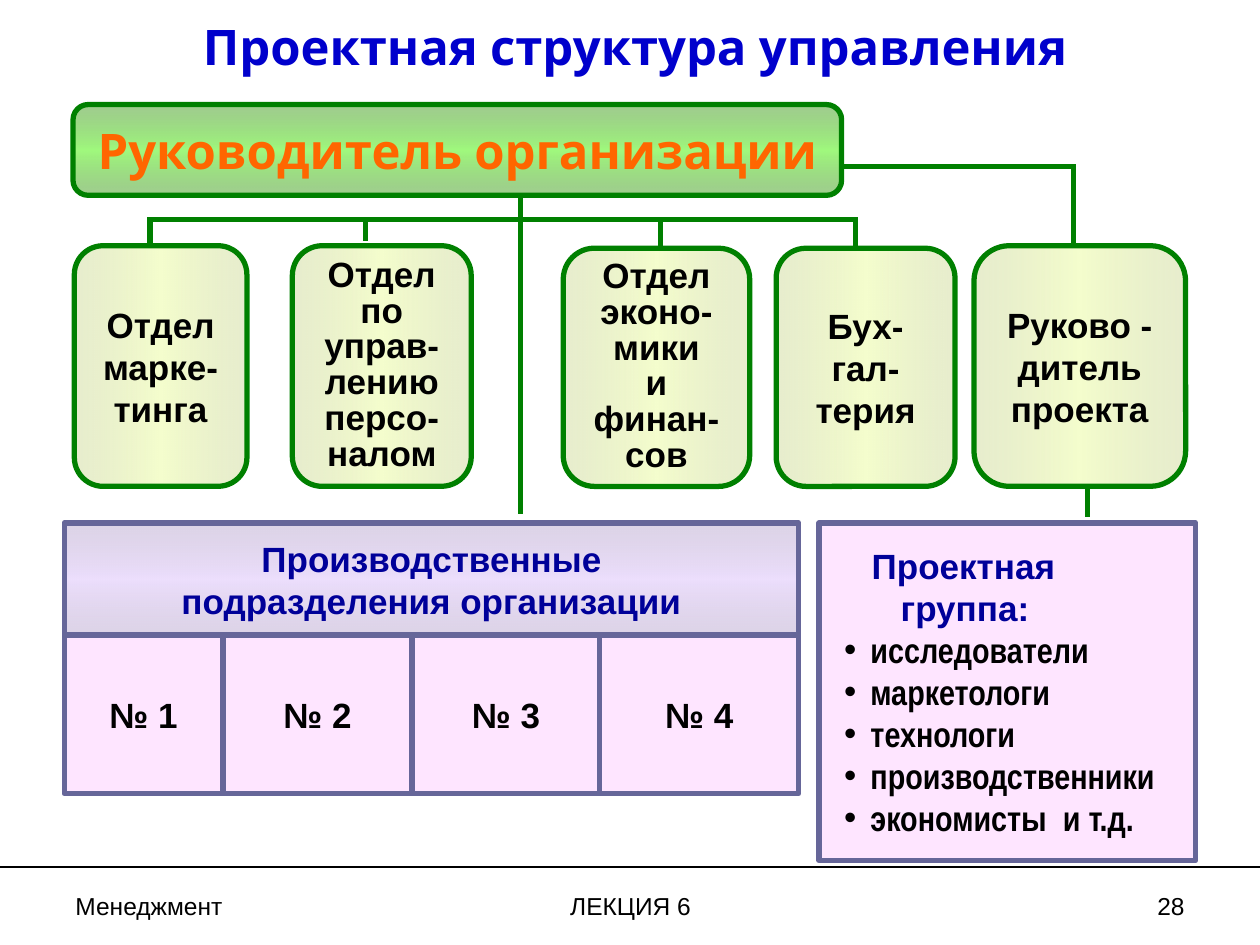
"""Build a slide showing a project-based management structure."""
from dataclasses import dataclass
from itertools import accumulate
from typing import Any, Optional

from lxml import etree
from pptx import Presentation, util as u
from pptx.dml.color import RGBColor
from pptx.enum import shapes, text
from pptx.oxml import ns

GREEN, VIOLET, PINK = "008000", "666699", "FEE5FF"
BLACK, NAVY = "000000", "000099"
CENTER, LEFT, RIGHT = text.PP_ALIGN.CENTER, text.PP_ALIGN.LEFT, text.PP_ALIGN.RIGHT
ROUND, RECT = shapes.MSO_SHAPE.ROUNDED_RECTANGLE, shapes.MSO_SHAPE.RECTANGLE


@dataclass(frozen=True)
class Style:
    color: str = BLACK
    size: float = 20
    font: str = "Arial"
    bold: bool = True
    align: Any = CENTER
    spacing: float = 1.0


@dataclass(frozen=True)
class Gradient:
    edge: str
    middle: str
    alpha: int
    angle: int


@dataclass(frozen=True)
class Box:
    left: float
    top: float
    width: float
    height: float
    lines: tuple = ()
    fill: Any = PINK
    line: str = VIOLET
    shape: Any = RECT
    style: Style = Style()


@dataclass(frozen=True)
class Line:
    x1: float
    y1: float
    x2: float
    y2: float
    color: str = GREEN
    width: float = 3


def rgb(value: str) -> RGBColor:
    return RGBColor.from_string(value)


def set_attrs(obj: Any, values: dict) -> None:
    for name, value in values.items():
        setattr(obj, name, value)


def paint_gradient(sp: Any, g: Gradient) -> None:
    sp.fill.gradient()
    sp.fill.gradient_angle = g.angle
    stops = sp._element.spPr.find(".//" + ns.qn("a:gsLst"))
    for stop in list(stops):
        stops.remove(stop)
    for pos, color, alpha in ((0, g.edge, g.alpha), (50, g.middle, 100), (100, g.edge, g.alpha)):
        gs = etree.SubElement(stops, ns.qn("a:gs"), pos=str(pos * 1000))
        clr = etree.SubElement(gs, ns.qn("a:srgbClr"), val=color)
        if alpha < 100:
            etree.SubElement(clr, ns.qn("a:alpha"), val=str(alpha * 1000))


def add_paragraph(tf: Any, line: str, style: Style, margin: float = 0,
                  bullet: Optional[str] = None) -> None:
    p = tf.paragraphs[0] if not tf.paragraphs[0].runs else tf.add_paragraph()
    set_attrs(p, {"alignment": style.align, "line_spacing": style.spacing})
    if margin:
        p_pr = p._p.get_or_add_pPr()
        p_pr.set("marL", str(u.Inches(margin)))
        p_pr.set("indent", str(u.Inches(-0.21 if bullet else 0)))
        if bullet:
            clr = etree.SubElement(p_pr, ns.qn("a:buClr"))
            etree.SubElement(clr, ns.qn("a:srgbClr"), val=BLACK)
            etree.SubElement(p_pr, ns.qn("a:buFont"), typeface="Arial")
            etree.SubElement(p_pr, ns.qn("a:buChar"), char=bullet)
    r = p.add_run()
    r.text = line
    set_attrs(r.font, {"name": style.font, "size": u.Pt(style.size), "bold": style.bold})
    r.font.color.rgb = rgb(style.color)


def add_box(s: Any, box: Box) -> Any:
    sp = s.shapes.add_shape(box.shape, *map(u.Inches, (box.left, box.top, box.width, box.height)))
    sp.shadow.inherit = False
    if isinstance(box.fill, Gradient):
        paint_gradient(sp, box.fill)
    else:
        sp.fill.solid()
        sp.fill.fore_color.rgb = rgb(box.fill)
    sp.line.color.rgb = rgb(box.line)
    sp.line.width = u.Pt(3)
    tf = sp.text_frame
    set_attrs(tf, {"word_wrap": False, "vertical_anchor": text.MSO_ANCHOR.MIDDLE})
    for line in box.lines:
        add_paragraph(tf, line, box.style)
    return sp


def add_label(s: Any, left: float, top: float, width: float, height: float,
              line: str, style: Style) -> None:
    tf = s.shapes.add_textbox(*map(u.Inches, (left, top, width, height))).text_frame
    tf.word_wrap = True
    add_paragraph(tf, line, style)


def add_line(s: Any, line: Line) -> None:
    ends = map(u.Inches, (line.x1, line.y1, line.x2, line.y2))
    cx = s.shapes.add_connector(shapes.MSO_CONNECTOR.STRAIGHT, *ends)
    cx.line.color.rgb = rgb(line.color)
    cx.line.width = u.Pt(line.width)
    etree.SubElement(cx._element.spPr, ns.qn("a:effectLst"))


def add_project_group(s: Any) -> None:
    tf = add_box(s, Box(6.5, 4.15, 2.99, 2.68)).text_frame
    tf.word_wrap = True
    heading = Style(NAVY, align=LEFT)
    add_paragraph(tf, "Проектная", heading, 0.32)
    add_paragraph(tf, "группа:", heading, 0.55)
    for member in ("исследователи", "маркетологи", "технологи", "производственники",
                   "экономисты  и т.д."):
        add_paragraph(tf, member, Style(font="Arial Narrow", align=LEFT), 0.31, "•")


def main() -> None:
    prs = Presentation()
    set_attrs(prs, {"slide_width": u.Inches(10), "slide_height": u.Inches(7.5)})
    s = prs.slides.add_slide(prs.slide_layouts[6])

    bus, half = 1.74, 0.02
    drops = ((1.19, 1.95), (2.9, 1.91), (5.24, 1.95), (6.79, 1.95))
    lines = [
        Line(0, 6.88, 10, 6.88, BLACK, 1.5),
        Line(8.63, 3.84, 8.63, 4.1),
        Line(4.13, 1.56, 4.13, 4.08),
        Line(6.68, 1.32, 8.52 + half, 1.32),
        Line(8.52, 1.32, 8.52, 1.96),
        Line(drops[0][0] - half, bus, drops[-1][0] + half, bus),
        *(Line(x, bus, x, bottom) for x, bottom in drops),
    ]
    for line in lines:
        add_line(s, line)

    add_box(s, Box(0.58, 0.83, 6.1, 0.72, ("Руководитель организации",),
                   Gradient("74B45B", "A1FA7E", 67, 90), GREEN, ROUND,
                   Style("FF6600", 28, "Karla")))

    cream = Gradient("DEE6BA", "F5FECE", 70, 0)
    departments = (
        (0.59, 1.95, 1.37, ("Отдел", "марке-", "тинга")),
        (2.32, 1.95, 1.42, ("Отдел", "по", "управ-", "лению", "персо-", "налом")),
        (4.47, 1.97, 1.48, ("Отдел", "эконо-", "мики", "и", "финан-", "сов")),
        (6.16, 1.97, 1.42, ("Бух-", "гал-", "терия")),
        (7.73, 1.95, 1.68, ("Руково -", "дитель", "проекта")),
    )
    for left, top, width, words in departments:
        style = Style(spacing=0.85 if len(words) > 3 else 1.0)
        add_box(s, Box(left, top, width, 3.86 - top, words, cream, GREEN, ROUND, style))

    add_box(s, Box(0.51, 4.15, 5.83, 0.89, ("Производственные", "подразделения организации"),
                   Gradient("CFC3DD", "EDDFFD", 70, 90), style=Style(NAVY)))
    add_project_group(s)
    widths = (1.26, 1.5, 1.49, 1.58)
    for n, (left, width) in enumerate(zip(accumulate(widths, initial=0.51), widths), 1):
        add_box(s, Box(left, 5.04, width, 1.26, (f"№ {n}",)))

    add_label(s, 0.5, 0.08, 9.08, 0.57, "Проектная структура управления",
              Style("0000CC", 28, "Karla"))
    for left, width, line, align in ((0.5, 2.33, "Менеджмент", LEFT),
                                     (3.42, 3.17, "ЛЕКЦИЯ 6", CENTER),
                                     (7.17, 2.33, "28", RIGHT)):
        add_label(s, left, 7.02, width, 0.34, line, Style(size=14, bold=False, align=align))

    prs.save("out.pptx")


if __name__ == "__main__":
    main()
